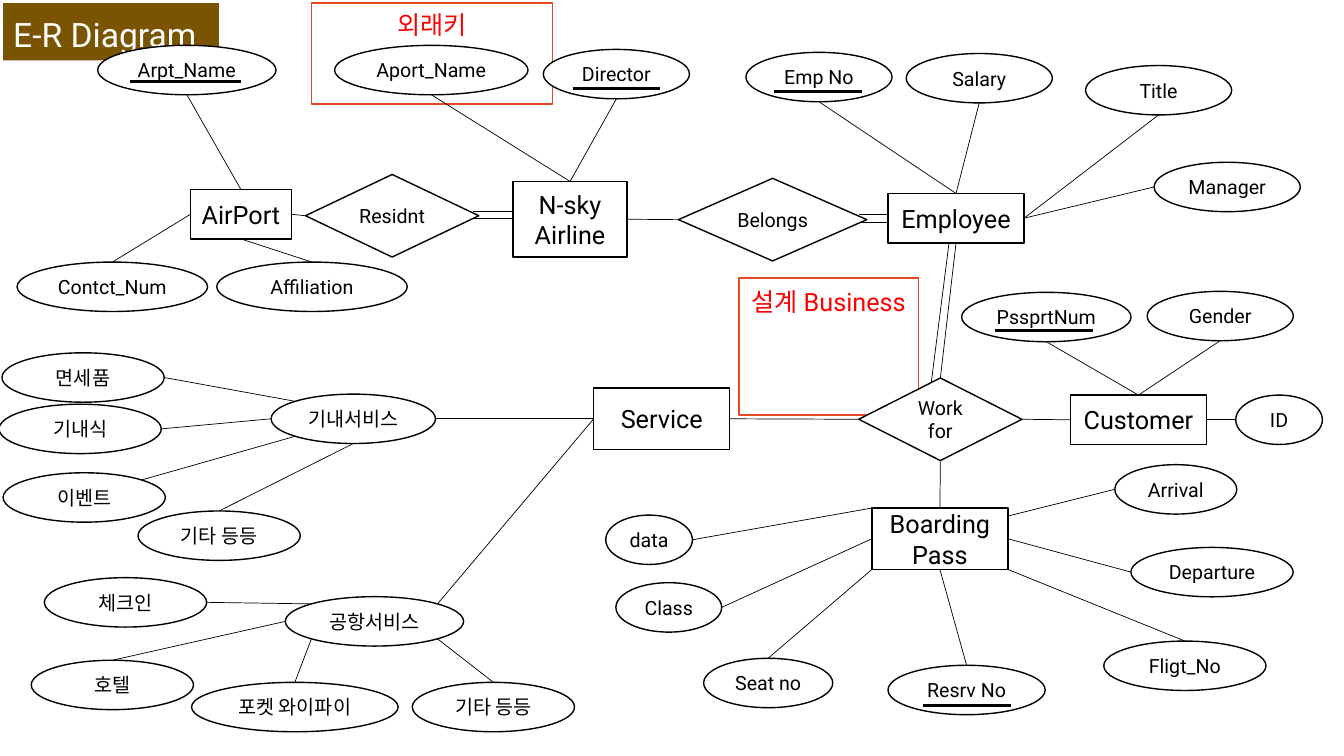
from lxml.etree import SubElement as Sub
from pptx import Presentation
from pptx.dml.color import RGBColor as Rgb
from pptx.enum.shapes import MSO_CONNECTOR as Conn, MSO_SHAPE as Geo
from pptx.enum.text import MSO_ANCHOR as Anchor, MSO_AUTO_SIZE as Auto, PP_ALIGN as Align
from pptx.oxml.ns import qn
from pptx.util import Pt

HUES = {"ink": "000000", "paper": "FFFFFF", "brown": "7A5400",
        "frame": "E64823", "red": "FF0000"}
HIGH = 35.3  # height of every oval
FAR = 0.5 ** 1.5  # offset of an oval's diagonal point from its centre

# Side name: share of width, share of height
SIDES = {"t": (0.5, 0), "l": (0, 0.5), "b": (0.5, 1), "r": (1, 0.5),
         "tl": (0, 0), "tr": (1, 0), "bl": (0, 1), "br": (1, 1),
         "rt": (1, 0.13)}
GLUE = {"t": 0, "l": 1, "b": 2, "r": 3}

# Relations and entities: text, left, top, width, height
RELS = [("Residnt", 218.2, 124.6, 123.8, 59), ("Belongs", 484.6, 127.4, 134.6, 59),
        ("Work for", 613.4, 270, 116.6, 59)]
ENTS = [("AirPort", 136.1, 135.4, 72, 35.3), ("N-sky Airline", 366.5, 129.6, 81.4, 54),
        ("Employee", 634.3, 138.2, 97.2, 35.3), ("Customer", 764.6, 282.2, 97.2, 35.3),
        ("Boarding Pass", 622.8, 362.9, 97.2, 43.9), ("Service", 424.1, 277.2, 97.2, 43.9)]

# Owner: its ovals as text, left, top, width, side of owner, side of oval
OVALS = {
    "AirPort": [("Arpt_Name", 69.8, 32.4, 127.4, "t", "b"),
                ("Contct_Num", 12.2, 187.2, 136.1, "l", "t"),
                ("Affiliation", 154.8, 187.2, 136.1, "b", "t")],
    "N-sky Airline": [("Aport_Name", 239, 32.4, 138.2, "t", "b"),
                      ("Director", 388.1, 35.3, 104.4, "t", "b")],
    "Employee": [("Emp No", 532.8, 37.4, 104.4, "t", "b"),
                 ("Salary", 647.3, 38.2, 104.4, "t", "b"),
                 ("Title", 775.4, 46.8, 104.4, "r", "b"),
                 ("Manager", 824.4, 115.9, 104.4, "r", "l")],
    "Customer": [("PssprtNum", 686.9, 208.8, 121, "t", "b"),
                 ("Gender", 819.4, 208.1, 104.4, "t", "b"),
                 ("ID", 882.7, 282.2, 61.9, "r", "l")],
    "Boarding Pass": [("Arrival", 796.3, 331.9, 87.1, "rt", "l"),
                      ("Departure", 807.8, 391, 115.9, "r", "l"),
                      ("Fligt_No", 788.4, 457.9, 115.9, "br", "t"),
                      ("Resrv No", 634.3, 475.2, 112.3, "b", "t"),
                      ("Seat no", 502.6, 470.2, 92.2, "bl", "t"),
                      ("Class", 439.9, 416.2, 75.6, "l", "r"),
                      ("data", 432.7, 367.9, 61.9, "tl", "r")],
    "Service": [("기내서비스", 193.7, 281.5, 117.4, "l", "r"),
                ("공항서비스", 203.8, 426.2, 127.4, "l", "tr")],
    "기내서비스": [("면세품", 1.4, 252, 115.9, "tl", "r"),
              ("기내식", -0.7, 288.7, 115.9, "l", "r"),
              ("이벤트", 2.2, 337.7, 115.9, "bl", "tr"),
              ("기타 등등", 98.6, 365, 115.9, "b", "t")],
    "공항서비스": [("체크인", 31.7, 412.6, 115.9, "tl", "r"),
              ("호텔", 22.3, 471.6, 115.9, "l", "t"),
              ("포켓 와이파이", 136.8, 487.4, 147.6, "bl", "t"),
              ("기타 등등", 294.5, 487.4, 115.9, "br", "t")],
}
JOINS = [("AirPort", "r", "Residnt", "l"), ("N-sky Airline", "r", "Belongs", "l"),
         ("Employee", "b", "Work for", "t"), ("Work for", "r", "Customer", "l"),
         ("Work for", "b", "Boarding Pass", "t"), ("Work for", "l", "Service", "r")]

# Second strokes of the double lines, behind and above the relations
BACK = [(679, 164.9, 663.8, 284.4), (613.4, 153.4, 640.8, 153.4)]
OVER = [(337.7, 151.2, 416.9, 151.2), (337.7, 156.2, 416.9, 156.2),
        (614.9, 159.1, 642.2, 159.1)]
# Key underlines: left, top, width
KEYS = [(92.9, 58.3, 79.2), (409, 63.4, 62.6), (553, 65.5, 62.6),
        (710.6, 236.2, 69.8), (659.5, 504, 62.6)]
# Red frames: text, left, top, width, height, room below the text
NOTES = [("외래키", 222.5, 2.2, 172.1, 72, 42),
         ("설계 Business", 527.8, 198.7, 128.2, 97.9, 64)]


def hue(name):
    return Rgb.from_string(HUES[name])


def write(shape, text, size=14, color="ink", align=Align.CENTER, side=2, top=0, low=0, lead=None):
    frame = shape.text_frame
    frame.word_wrap, frame.auto_size = True, Auto.NONE
    frame.vertical_anchor = Anchor.MIDDLE
    frame.margin_left = frame.margin_right = Pt(side)
    frame.margin_top, frame.margin_bottom = Pt(top), Pt(low)
    para = frame.paragraphs[0]
    para.alignment, para.line_spacing = align, lead
    run = para.add_run()
    run.text = text
    run.font.name, run.font.size, run.font.bold = "Roboto", Pt(size), False
    run.font.color.rgb = hue(color)


class Chart:
    def __init__(self, slide):
        self.slide = slide
        self.nodes = {}

    def title(self, text, *box):
        shape = self.slide.shapes.title
        shape.left, shape.top, shape.width, shape.height = map(Pt, box)
        geom = Sub(shape.element.spPr, qn("a:prstGeom"), prst="roundRect")
        Sub(Sub(geom, qn("a:avLst")), qn("a:gd"), name="adj", fmla="val 10000")
        shape.fill.solid()
        shape.fill.fore_color.rgb = hue("brown")
        write(shape, text, size=24, color="paper", align=Align.LEFT, side=7.2, lead=1.1)

    def node(self, geo, text, *box, edge="ink", fill="paper", **style):
        shape = self.slide.shapes.add_shape(geo, *map(Pt, box))
        shape.shadow.inherit = False
        if fill:
            shape.fill.solid()
            shape.fill.fore_color.rgb = hue(fill)
        else:
            shape.fill.background()
        shape.line.color.rgb, shape.line.width = hue(edge), Pt(1)
        write(shape, text, **style)
        self.nodes[text] = shape
        return shape

    def line(self, *ends, width=0.5):
        line = self.slide.shapes.add_connector(Conn.STRAIGHT, *map(Pt, ends))
        line.line.color.rgb, line.line.width = hue("ink"), Pt(width)
        Sub(line.element.spPr, qn("a:effectLst"))
        return line

    def spot(self, shape, side):
        across, down = SIDES[side]
        if shape.auto_shape_type == Geo.OVAL and len(side) == 2:
            across, down = (0.5 + (n - 0.5) * 2 * FAR for n in (across, down))
        return (shape.left.pt + shape.width.pt * across,
                shape.top.pt + shape.height.pt * down)

    def join(self, head, out, tail, into):
        line = self.line(*self.spot(head, out), *self.spot(tail, into))
        if out in GLUE and head.auto_shape_type != Geo.OVAL:
            line.begin_connect(head, GLUE[out])
        if into in GLUE and tail.auto_shape_type != Geo.OVAL:
            line.end_connect(tail, GLUE[into])


def main():
    deck = Presentation()
    deck.slide_width, deck.slide_height = Pt(960), Pt(540)
    chart = Chart(deck.slides.add_slide(deck.slide_layouts[5]))
    chart.title("E-R Diagram", 2.2, 2.2, 154.1, 41)

    # Red frames
    for text, *box, low in NOTES:
        chart.node(Geo.RECTANGLE, text, *box, edge="frame", fill=None,
                   size=18, color="red", low=low)

    # Relations, double lines and entities
    for ends in BACK:
        chart.line(*ends)
    for rel in RELS:
        chart.node(Geo.DIAMOND, *rel, side=6)
    for ends in OVER:
        chart.line(*ends)
    for ent in ENTS:
        chart.node(Geo.RECTANGLE, *ent, size=18)
    for head, out, tail, into in JOINS:
        chart.join(chart.nodes[head], out, chart.nodes[tail], into)

    # Attributes with their links
    for owner, ovals in OVALS.items():
        for text, left, top, width, out, into in ovals:
            oval = chart.node(Geo.OVAL, text, left, top, width, HIGH)
            chart.join(chart.nodes[owner], out, oval, into)

    # Key underlines
    for left, top, width in KEYS:
        chart.line(left, top, left + width, top, width=2)
    deck.save("out.pptx")


if __name__ == "__main__":
    main()
